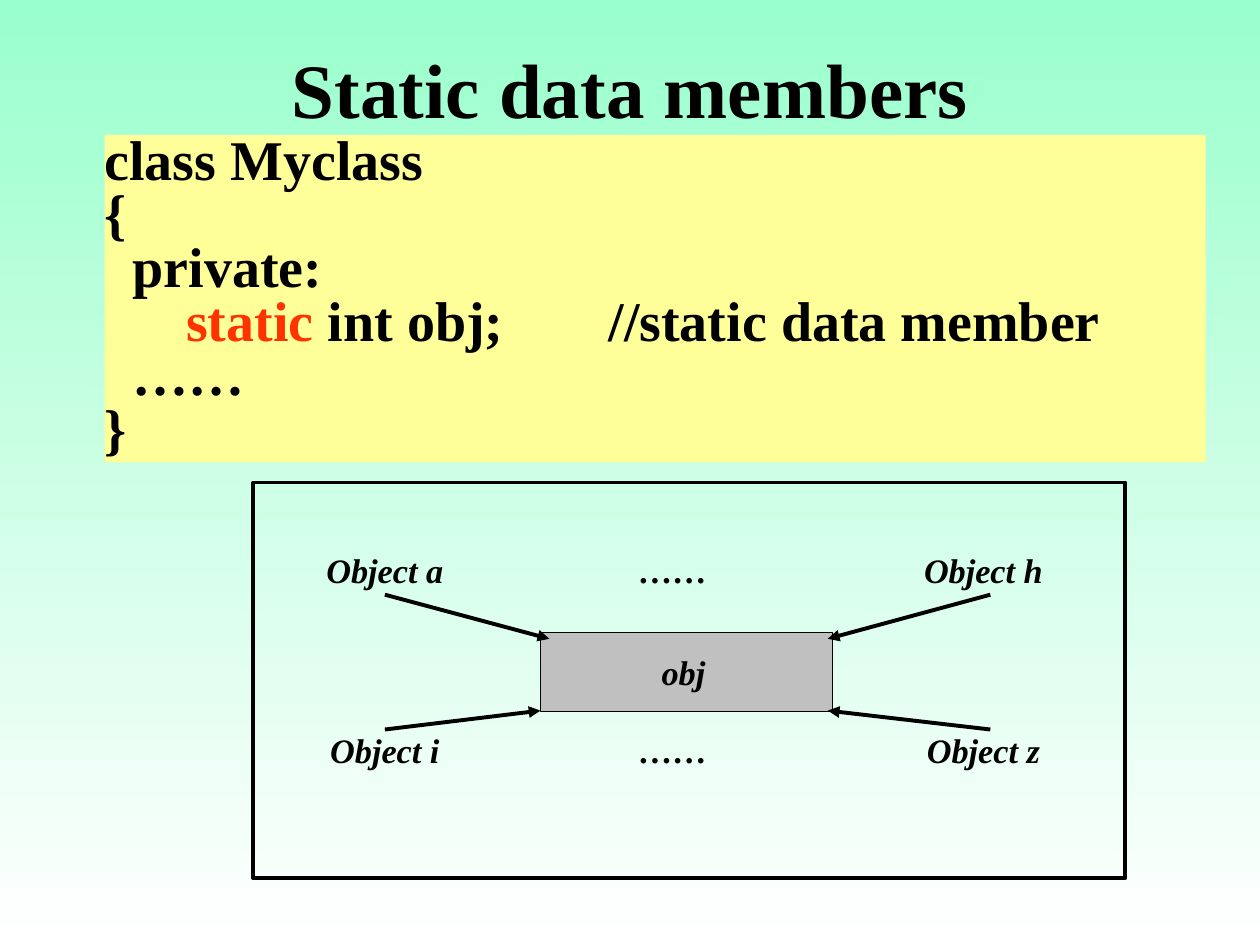
import dataclasses
import typing

import lxml.etree
import pptx
import pptx.dml.color
import pptx.enum.dml
import pptx.enum.shapes
import pptx.enum.text
import pptx.oxml.ns
import pptx.util

Inches = pptx.util.Inches
Pt = pptx.util.Pt
Color = pptx.dml.color.RGBColor
Align = pptx.enum.text.PP_ALIGN
Anchor = pptx.enum.text.MSO_ANCHOR


@dataclasses.dataclass(frozen=True)
class Theme:
    font: str = "Times New Roman"
    ink: str = "000000"
    keyword: str = "FF3300"
    code_fill: str = "FFFF99"
    member_fill: str = "C0C0C0"
    sky: tuple[str, str] = ("99FFCC", "FFFFFF")
    title_size: float = 44
    code_size: float = 32
    label_size: float = 19.6
    thick: float = 2.25
    thin: float = 0.75


class Box(typing.NamedTuple):
    left: float
    top: float
    width: float
    height: float


class Span(typing.NamedTuple):
    text: str
    color: str


class Label(typing.NamedTuple):
    text: str
    box: Box
    italic: bool = True


class Arrow(typing.NamedTuple):
    start: tuple[float, float]
    end: tuple[float, float]
    label: str = ""
    site: int = 0


THEME = Theme()
LABEL_HEIGHT = 0.36
UPPER, LOWER = 4.36, 5.79
UPPER_EDGE = UPPER + LABEL_HEIGHT
CODE_TAB = 4

CODE = [
    [Span("class Myclass", THEME.ink)],
    [Span("{", THEME.ink)],
    [Span("  private:", THEME.ink)],
    [
        Span("　  ", THEME.ink),
        Span("static", THEME.keyword),
        Span(" int obj;\t//static data member", THEME.ink),
    ],
    [Span("  ……", THEME.ink)],
    [Span("}", THEME.ink)],
]

LABELS = [Label("obj", Box(4.76, 5.17, 1.33, LABEL_HEIGHT))]
for row_top, left_name, right_name in (
    (UPPER, "Object a", "Object h"),
    (LOWER, "Object i", "Object z"),
):
    LABELS += [
        Label(left_name, Box(2.27, row_top, 1.57, LABEL_HEIGHT)),
        Label("……", Box(4.67, row_top, 1.33, LABEL_HEIGHT), italic=False),
        Label(right_name, Box(7.06, row_top, 1.49, LABEL_HEIGHT)),
    ]

ARROWS = [
    Arrow((3.07, UPPER_EDGE), (4.36, 5.07), "Object a", 2),
    Arrow((7.86, UPPER_EDGE), (6.57, 5.07)),
    Arrow((3.07, LOWER), (4.29, 5.64), "Object i", 0),
    Arrow((7.86, LOWER), (6.57, 5.64)),
]


def apply(target: typing.Any, values: dict[str, typing.Any]) -> None:
    for name, value in values.items():
        setattr(target, name, value)


def place(box: Box) -> dict[str, int]:
    return {name: Inches(value) for name, value in box._asdict().items()}


def write(para: typing.Any, span: Span, size: float, italic: bool = False) -> None:
    run = para.add_run()
    run.text = span.text
    apply(run.font, {"name": THEME.font, "size": Pt(size), "bold": True, "italic": italic})
    run.font.color.rgb = Color.from_string(span.color)


def set_frame(frame: typing.Any, anchor: typing.Any, side: float = 0, end: float = 0) -> None:
    apply(frame, {
        "word_wrap": True,
        "auto_size": pptx.enum.text.MSO_AUTO_SIZE.NONE,
        "vertical_anchor": anchor,
        "margin_left": Inches(side),
        "margin_right": Inches(side),
        "margin_top": Inches(end),
        "margin_bottom": Inches(end),
    })


def paint_background(page: typing.Any) -> None:
    fill = page.background.fill
    fill.gradient()
    fill.gradient_angle = 270
    for stop, color, position in zip(fill.gradient_stops, THEME.sky, (0, 1)):
        stop.color.rgb = Color.from_string(color)
        stop.position = position


def write_title(page: typing.Any, text: str, box: Box) -> None:
    title = page.shapes.title
    apply(title, place(box))
    set_frame(title.text_frame, Anchor.MIDDLE, side=0.1, end=0.05)
    para = title.text_frame.paragraphs[0]
    para.alignment = Align.CENTER
    write(para, Span(text, THEME.ink), THEME.title_size)


def draw_rectangle(page: typing.Any, box: Box, fill: str = "", line: float = 0) -> typing.Any:
    shape = page.shapes.add_shape(
        pptx.enum.shapes.MSO_SHAPE.RECTANGLE, **place(box))
    shape.shadow.inherit = False
    if fill:
        shape.fill.solid()
        shape.fill.fore_color.rgb = Color.from_string(fill)
    else:
        shape.fill.background()
    if line:
        shape.line.color.rgb = Color.from_string(THEME.ink)
        shape.line.width = Pt(line)
    else:
        shape.line.fill.background()
    return shape


def draw_label(page: typing.Any, label: Label) -> typing.Any:
    box = page.shapes.add_textbox(**place(label.box))
    set_frame(box.text_frame, Anchor.TOP)
    para = box.text_frame.paragraphs[0]
    para.alignment = Align.CENTER
    write(para, Span(label.text, THEME.ink), THEME.label_size, label.italic)
    return box


def draw_arrow(page: typing.Any, arrow: Arrow, boxes: dict[str, typing.Any]) -> None:
    points = [Inches(value) for value in (*arrow.start, *arrow.end)]
    line = page.shapes.add_connector(pptx.enum.shapes.MSO_CONNECTOR.STRAIGHT, *points)
    if arrow.label:
        line.begin_connect(boxes[arrow.label], arrow.site)
    line.line.color.rgb = Color.from_string(THEME.ink)
    line.line.width = Pt(THEME.thick)
    qn = pptx.oxml.ns.qn
    properties = line._element.spPr
    lxml.etree.SubElement(properties.find(qn("a:ln")), qn("a:tailEnd"), type="triangle")
    lxml.etree.SubElement(properties, qn("a:effectLst"))


def draw_code(page: typing.Any, box: Box) -> None:
    qn = pptx.oxml.ns.qn
    frame = draw_rectangle(page, box, fill=THEME.code_fill).text_frame
    set_frame(frame, Anchor.MIDDLE)
    for index, spans in enumerate(CODE):
        para = frame.add_paragraph() if index else frame.paragraphs[0]
        apply(para, {"alignment": Align.LEFT, "line_spacing": 0.8})
        tabs = lxml.etree.SubElement(para._p.get_or_add_pPr(), qn("a:tabLst"))
        lxml.etree.SubElement(tabs, qn("a:tab"), pos=str(Inches(CODE_TAB)), algn="l")
        for span in spans:
            write(para, span, THEME.code_size)


def main() -> None:
    deck = pptx.Presentation()
    apply(deck, {"slide_width": Inches(10), "slide_height": Inches(7.5)})
    page = deck.slides.add_slide(deck.slide_layouts[5])
    paint_background(page)
    write_title(page, "Static data members", Box(0.75, 0.36, 8.5, 0.67))
    draw_rectangle(page, Box(2.01, 3.83, 6.92, 3.14), line=THEME.thick)
    draw_rectangle(page, Box(4.29, 5.02, 2.32, 0.63), THEME.member_fill, THEME.thin)
    boxes = {label.text: draw_label(page, label) for label in LABELS}
    for arrow in ARROWS:
        draw_arrow(page, arrow, boxes)
    draw_code(page, Box(0.83, 1.07, 8.74, 2.6))
    deck.save("out.pptx")


if __name__ == "__main__":
    main()
